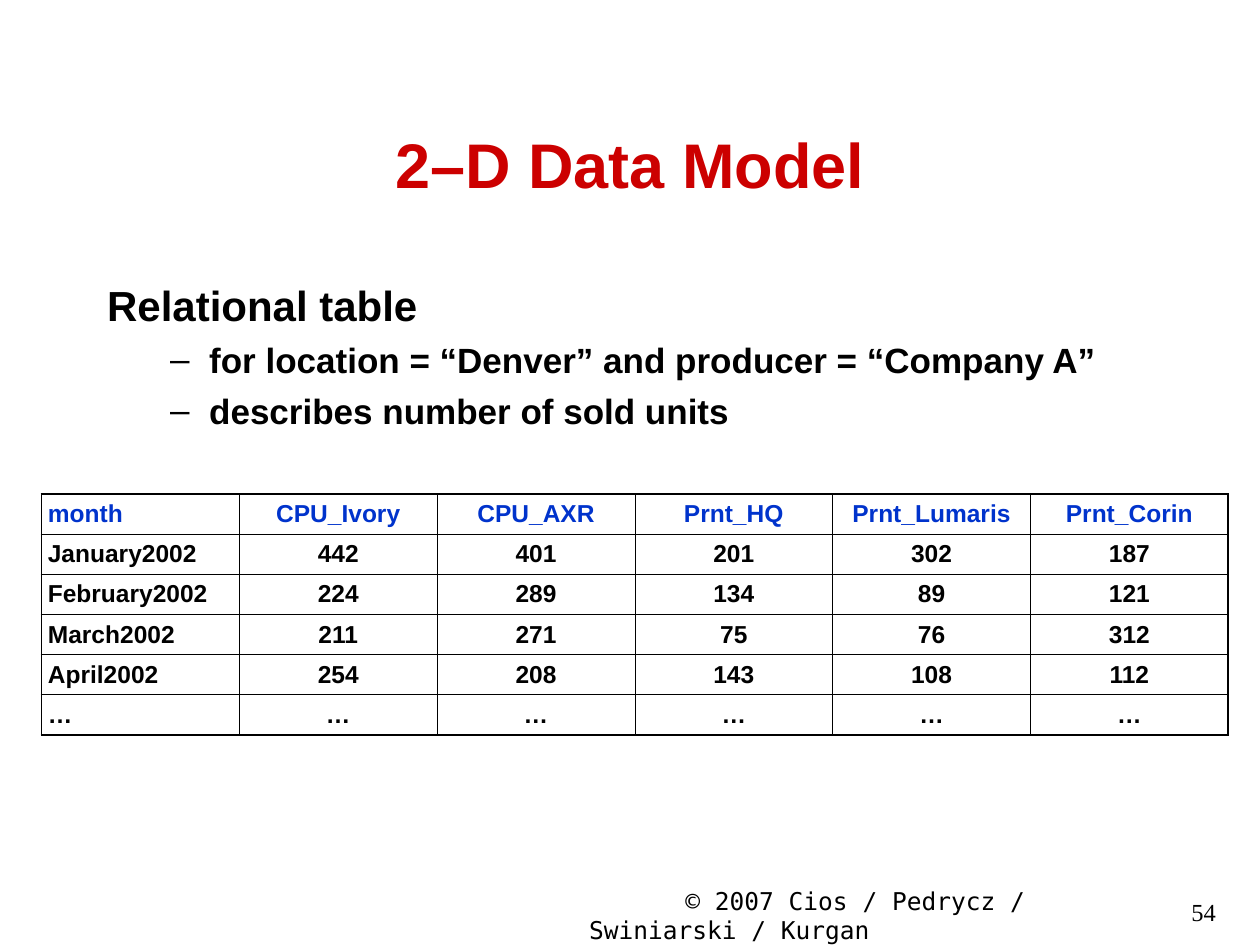
from lxml.etree import SubElement
from pptx import Presentation
from pptx.dml.color import RGBColor
from pptx.enum.text import MSO_ANCHOR as Anchor, MSO_AUTO_SIZE as AutoSize, PP_ALIGN as Align
from pptx.oxml.ns import qn
from pptx.util import Inches, Pt

BLACK, RED, BLUE = "000000", "CC0000", "0033CC"
TITLE = "2–D Data Model"
HEADING = "Relational table"
POINTS = [
    "for location = “Denver” and producer = “Company A”",
    "describes number of sold units",
]
SALES = [
    ("month", "CPU_Ivory", "CPU_AXR", "Prnt_HQ", "Prnt_Lumaris", "Prnt_Corin"),
    ("January2002", "442", "401", "201", "302", "187"),
    ("February2002", "224", "289", "134", "89", "121"),
    ("March2002", "211", "271", "75", "76", "312"),
    ("April2002", "254", "208", "143", "108", "112"),
    ("…",) * 6,
]
COPYRIGHT = ["© 2007 Cios / Pedrycz /", "Swiniarski / Kurgan"]
PAGE_NUMBER = "54"


def add_span(para, text, size, color=BLACK, bold=True, font="Arial"):
    span = para.add_run()
    span.text = text
    span.font.size = Pt(size)
    span.font.name = font
    span.font.bold = bold
    span.font.color.rgb = RGBColor.from_string(color)


def place(box, left, top, width, height):
    box.left, box.top = Inches(left), Inches(top)
    box.width, box.height = Inches(width), Inches(height)
    box.text_frame.word_wrap = True
    box.text_frame.auto_size = AutoSize.NONE


def set_indent(para, left, first):
    properties = para._p.get_or_add_pPr()
    properties.set("marL", str(Inches(left)))
    properties.set("indent", str(Inches(first)))
    return properties


def add_text_box(page, *frame):
    box = page.shapes.add_textbox(0, 0, 0, 0)
    place(box, *frame)
    return box.text_frame.paragraphs[0]


def set_border(cell, side, width):
    line = SubElement(cell._tc.get_or_add_tcPr(), qn(f"a:ln{side}"), w=str(Pt(width)))
    SubElement(SubElement(line, qn("a:solidFill")), qn("a:srgbClr"), val=BLACK)


def add_title(page):
    box = page.shapes.title
    place(box, 0.75, 0.67, 8.5, 1.25)
    box.text_frame.vertical_anchor = Anchor.MIDDLE
    para = box.text_frame.paragraphs[0]
    para.alignment = Align.CENTER
    add_span(para, TITLE, 36, RED)


def add_body(page):
    box = page.placeholders[1]
    place(box, 0.75, 2.17, 9, 1.33)
    para = box.text_frame.paragraphs[0]
    SubElement(set_indent(para, 0.25, -0.25), qn("a:buNone"))
    para.space_before = Pt(0)
    add_span(para, HEADING, 24)
    for point in POINTS:
        para = box.text_frame.add_paragraph()
        para.level = 1
        properties = set_indent(para, 0.81, -0.31)
        SubElement(SubElement(properties, qn("a:buClr")), qn("a:srgbClr"), val=BLACK)
        SubElement(properties, qn("a:buChar"), char="–")
        para.space_before = Pt(5)
        add_span(para, point, 20)


def add_sales_table(page):
    rows, columns = len(SALES), len(SALES[0])
    table = page.shapes.add_table(
        rows, columns, Inches(0.33), Inches(3.92), Inches(9.42), Inches(1.71)
    ).table
    table.first_row = table.horz_banding = False
    for r, record in enumerate(SALES):
        for c, value in enumerate(record):
            cell = table.cell(r, c)
            outer = {"L": c == 0, "R": c == columns - 1, "T": r == 0, "B": r == rows - 1}
            for side, is_outer in outer.items():
                set_border(cell, side, 1.08 if is_outer else 0.45)
            cell.fill.background()
            cell.vertical_anchor = Anchor.MIDDLE
            cell.margin_left = cell.margin_right = Inches(0.05)
            cell.margin_top = cell.margin_bottom = Inches(0.05)
            para = cell.text_frame.paragraphs[0]
            para.alignment = Align.CENTER if c else Align.LEFT
            add_span(para, value, 14, BLACK if r else BLUE)


def add_footer(page):
    para = add_text_box(page, 2.58, 6.98, 6.42, 0.52)
    para.alignment = Align.CENTER
    set_indent(para, 0, 2)
    for i, line in enumerate(COPYRIGHT):
        if i:
            para.add_line_break()
        add_span(para, line, 14, bold=False, font="DejaVu Sans Mono")
    para = add_text_box(page, 8.08, 7.07, 1.67, 0.5)
    para.alignment = Align.RIGHT
    add_span(para, PAGE_NUMBER, 14, bold=False, font="Times New Roman")


def main():
    deck = Presentation()
    deck.slide_width, deck.slide_height = Inches(10), Inches(7.5)
    page = deck.slides.add_slide(deck.slide_layouts[1])
    add_title(page)
    add_body(page)
    add_sales_table(page)
    add_footer(page)
    deck.save("out.pptx")


if __name__ == "__main__":
    main()
